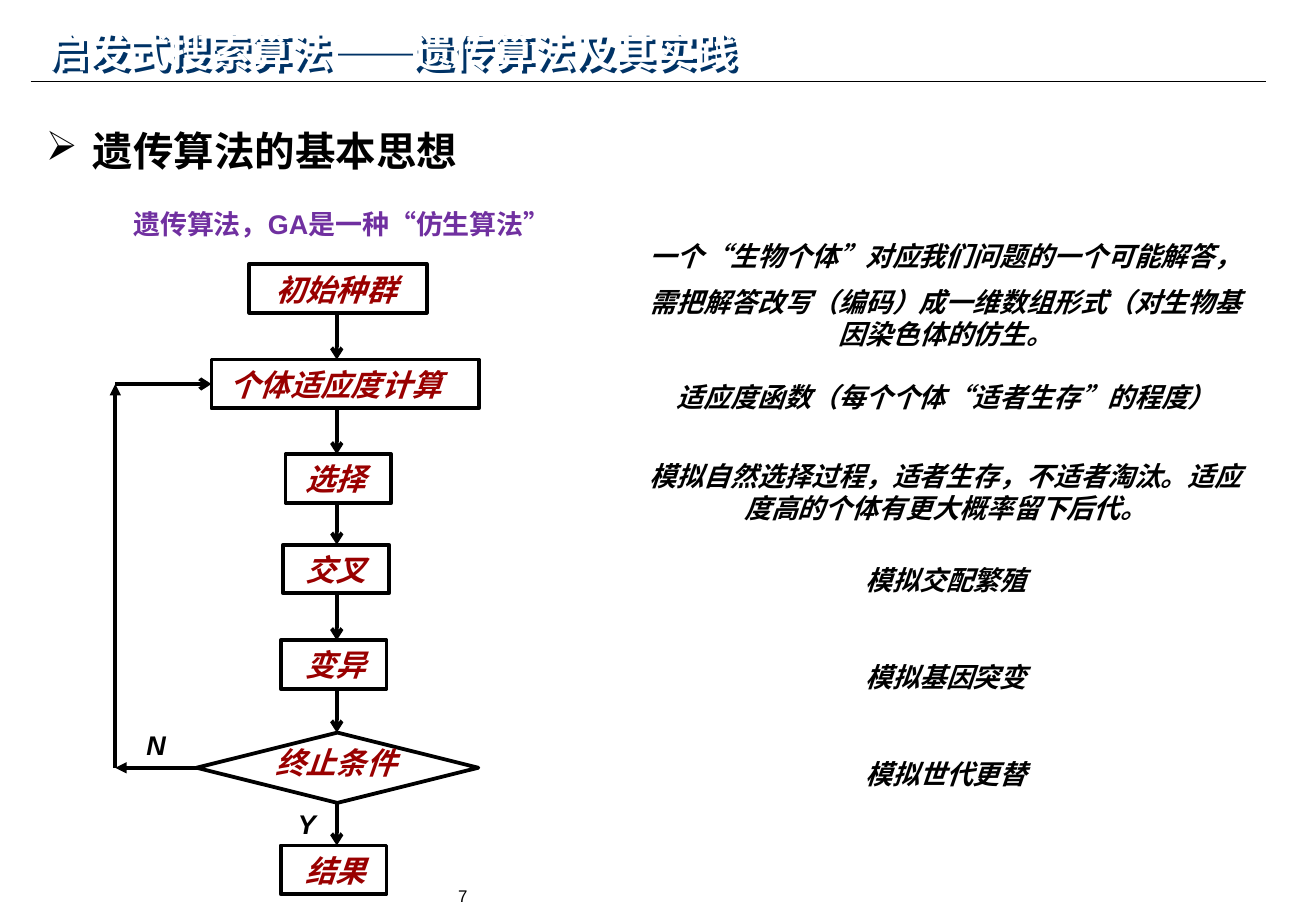
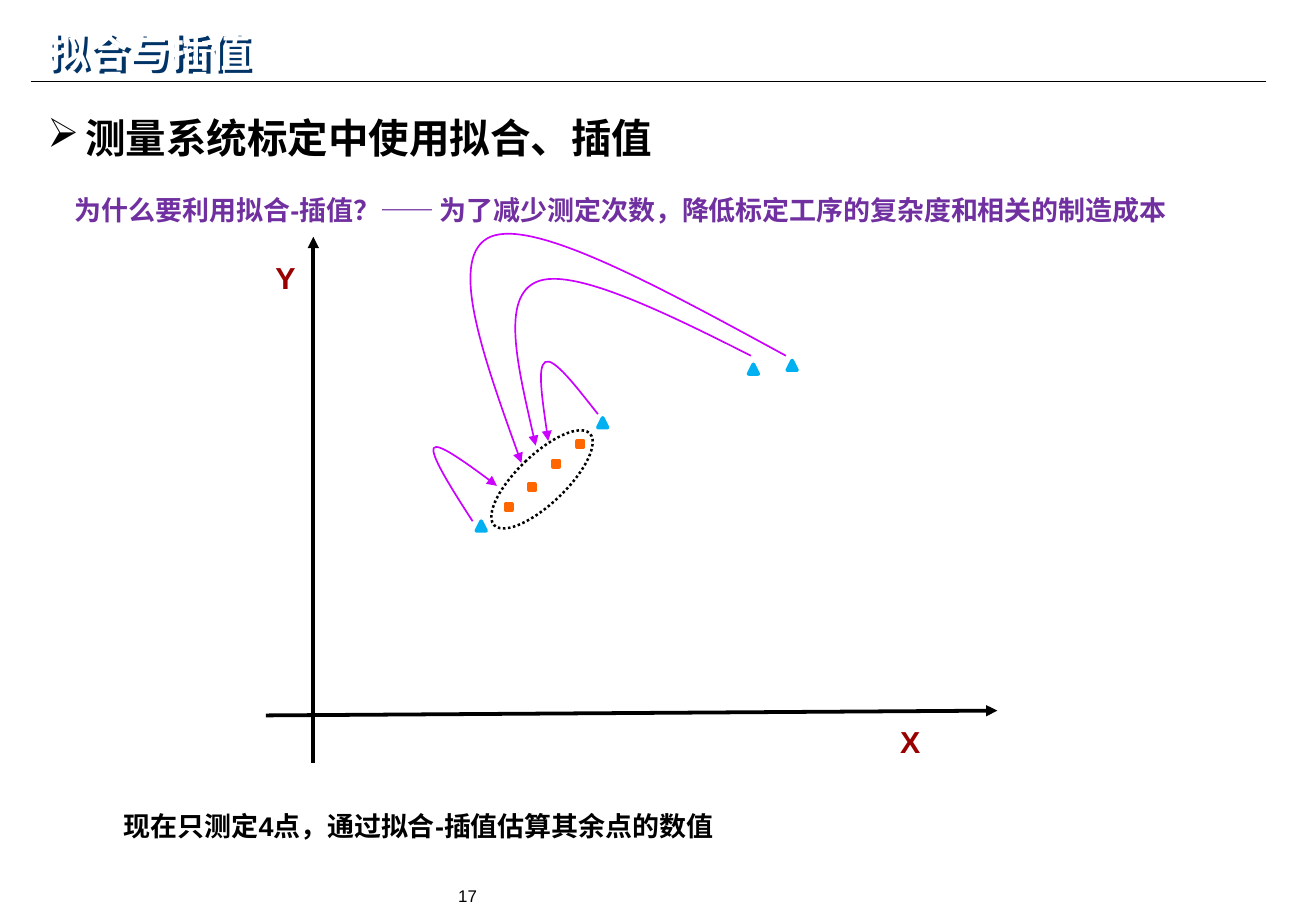
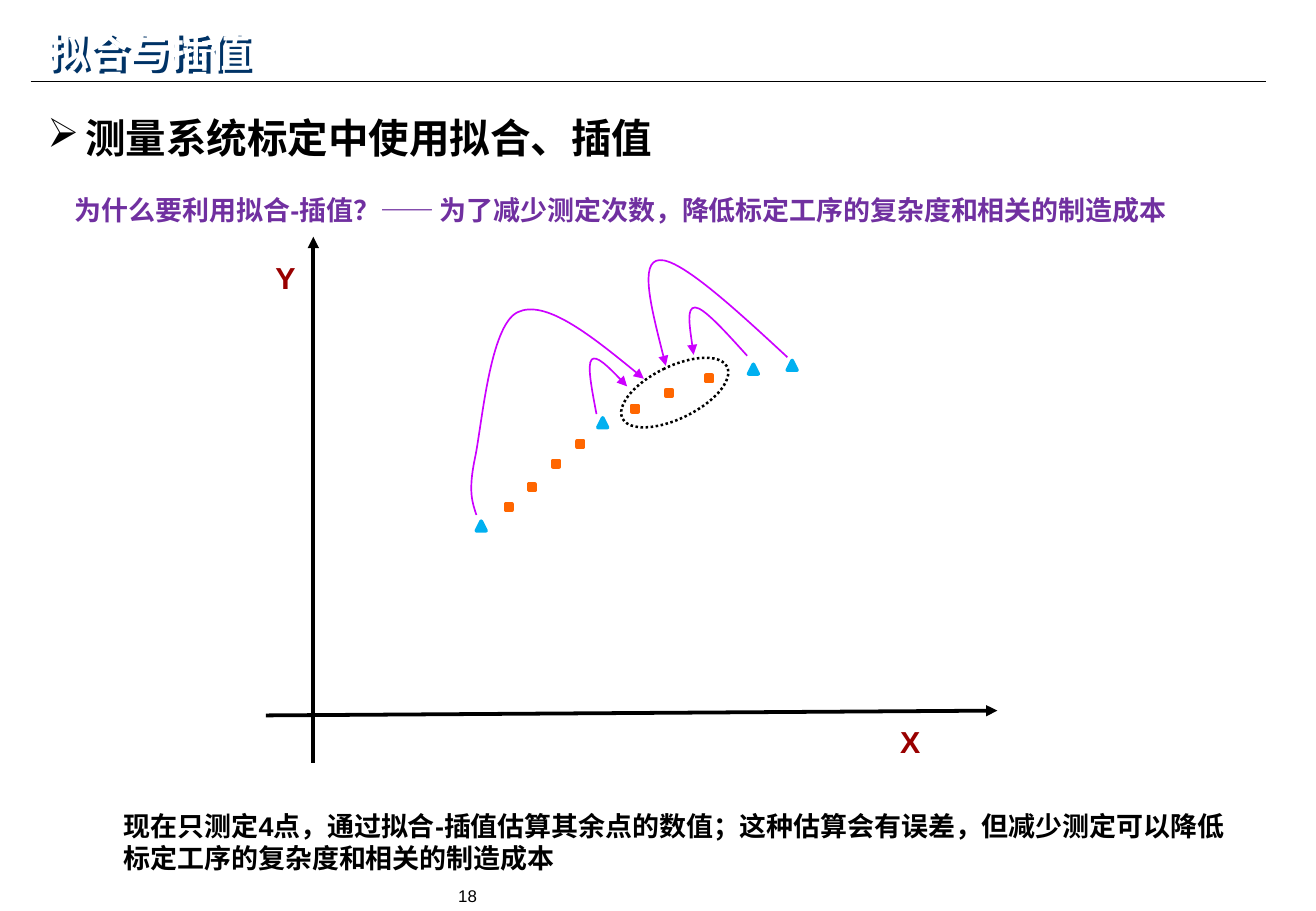
from pptx import Presentation, util as u
from pptx.dml.color import RGBColor
from pptx.enum import dml, shapes, text
from pptx.oxml import parse_xml
from pptx.oxml.ns import nsdecls, qn

# ---- Shared style
BLACK, RED, PURPLE, WHITE, NAVY = "000000", "990000", "7030A0", "FFFFFF", "003366"
BLUE, ORANGE, MAGENTA = "00B0F0", "FF6600", "CC00FF"
FONT = "Arial"
TITLE = dict(size=24, bold=True, color=WHITE)
HEADING = dict(size=24, bold=True)
LEAD = dict(size=16, bold=True, color=PURPLE)
BODY = dict(size=16, bold=True)
NOTE = dict(size=16, bold=True, italic=True, align="CENTER")
STEP = dict(size=18, bold=True, italic=True, color=RED, align="CENTER")
AXIS = dict(size=18, bold=True, color=RED)
PAGE = dict(size=10, inset=(0.18, 0.1))
RECT, DIAMOND = shapes.MSO_SHAPE.RECTANGLE, shapes.MSO_SHAPE.DIAMOND

# ---- Flow chart content: label, label top, outline left, width, top, height, kind
BOX_H = 1.02
STEPS = [
    ("初始种群", 5.54, 5.21, 3.71, 5.52, BOX_H, RECT),
    ("个体适应度计算", 7.52, 4.42, 5.59, 7.52, BOX_H, RECT),
    ("选择", 9.5, 5.97, 2.21, 9.5, BOX_H, RECT),
    ("交叉", 11.4, 5.92, 2.21, 11.39, BOX_H, RECT),
    ("变异", 13.39, 5.87, 2.21, 13.39, BOX_H, RECT),
    ("终止条件", 15.44, 4.11, 5.89, 15.32, 1.47, DIAMOND),
    ("结果", 17.68, 5.87, 2.21, 17.68, BOX_H, RECT),
]
FLOW_X, LOOP_X = 7.04, 2.41
BRANCHES = [("Y", 5.87, 16.76), ("N", 2.72, 15.11)]
NOTES = [
    (4.88, 2.64, ["一个“生物个体”对应我们问题的一个可能解答，",
                  "需把解答改写（编码）成一维数组形式（对生物基因染色体的仿生。"]),
    (7.82, 0.94, ["适应度函数（每个个体“适者生存”的程度）"]),
    (9.47, 1.63, ["模拟自然选择过程，适者生存，不适者淘汰。适应度高的个体有更大概率留下后代。"]),
    (11.66, 0.94, ["模拟交配繁殖"]),
    (13.69, 0.94, ["模拟基因突变"]),
    (15.72, 0.94, ["模拟世代更替"]),
]

# ---- Plot content: measured and estimated points, then what each slide adds
MEASURED = [(9.96, 10.9), (12.5, 8.74), (15.65, 7.62), (16.46, 7.54)]
LOWER = [(10.57, 10.54), (11.05, 10.13), (11.56, 9.63), (12.07, 9.22)]
UPPER = [(13.21, 8.48), (13.92, 8.15), (14.76, 7.85)]
CONCLUSION = "现在只测定4点，通过拟合-插值估算其余点的数值"
PLOTS = [
    dict(page=17, estimated=LOWER, ring=(10.82, 8.64, 1.02, 2.77), turn=46.2,
         caption=CONCLUSION, caption_box=(2.34, 16.79, 14.33, 0.94),
         curves=[
             [(12.5, 8.66), (12.04, 8.08), (11.58, 7.47), (11.4, 7.57),
              (11.23, 7.67), (11.35, 8.43), (11.46, 9.22)],
             [(15.7, 7.44), (13.84, 6.5), (11.96, 5.59), (11.23, 5.89),
              (10.46, 6.2), (10.85, 7.77), (11.2, 9.32)],
             [(16.43, 7.44), (13.82, 6.02), (11.18, 4.57), (10.26, 4.95),
              (9.35, 5.33), (10.11, 7.49), (10.9, 9.68)],
             [(9.88, 10.9), (9.42, 10.19), (8.99, 9.5), (9.07, 9.37),
              (9.14, 9.25), (9.78, 9.7), (10.39, 10.16)]]),
    dict(page=18, estimated=LOWER + UPPER, ring=(13.56, 6.99, 1.09, 2.44), turn=63.8,
         caption=CONCLUSION + "；这种估算会有误差，但减少测定可以降低标定工序的复杂度和相关的制造成本",
         caption_box=(2.34, 16.79, 23.62, 1.63),
         curves=[
             [(12.47, 8.66), (12.37, 8.13), (12.27, 7.62), (12.37, 7.52),
              (12.47, 7.42), (12.8, 7.75), (13.11, 8.08)],
             [(9.96, 10.77), (9.88, 10.52), (9.78, 10.29), (9.93, 9.58),
              (10.08, 8.86), (10.24, 6.81), (10.82, 6.53),
              (11.4, 6.25), (12.45, 7.09), (13.46, 7.92)],
             [(15.62, 7.44), (15.16, 6.93), (14.71, 6.43), (14.53, 6.43),
              (14.35, 6.43), (14.43, 6.91), (14.5, 7.42)],
             [(16.46, 7.47), (15.34, 6.43), (14.22, 5.41), (13.79, 5.44),
              (13.36, 5.46), (13.64, 6.55), (13.92, 7.65)]]),
]


# ---- Helpers
def rgb(value):
    return RGBColor.from_string(value)


def cm(*values):
    return [u.Cm(v) for v in values]


def xml(markup):
    """Build one DrawingML element from its tag and content."""
    tag, _, rest = markup.partition(" ")
    return parse_xml(f"<a:{tag} {nsdecls('a')} {rest}")


def add_text(s, box, lines, size, color=BLACK, align="LEFT", anchor="TOP",
             inset=(0.25, 0.13), bullet=None, **font):
    tb = s.shapes.add_textbox(*cm(*box))
    tf = tb.text_frame
    side, edge = cm(*inset)
    frame = dict(word_wrap=True, vertical_anchor=text.MSO_ANCHOR[anchor],
                 margin_left=side, margin_right=side, margin_top=edge, margin_bottom=edge)
    for name, value in frame.items():
        setattr(tf, name, value)
    for i, line in enumerate(lines):
        p = tf.add_paragraph() if i else tf.paragraphs[0]
        p.alignment = text.PP_ALIGN[align]
        if i:
            p.space_before = u.Pt(size / 2)
        if bullet:
            pPr = p._p.get_or_add_pPr()
            pPr.set("marL", str(u.Cm(0.79)))
            pPr.set("indent", str(-u.Cm(0.79)))
            pPr.append(xml(f'buChar char="{bullet}"/>'))
        r = p.add_run()
        r.text = line
        for name, value in dict(font, name=FONT, size=u.Pt(size)).items():
            setattr(r.font, name, value)
        r.font.color.rgb = rgb(color)
    return tb


def set_line(sp, color, width, head=None):
    sp.line.color.rgb = rgb(color)
    sp.line.width = u.Pt(width)
    if head:
        sp._element.spPr.find(qn("a:ln")).append(xml(f'tailEnd type="{head}"/>'))


def add_line(s, start, end, width=2.25, head=None):
    cn = s.shapes.add_connector(shapes.MSO_CONNECTOR.STRAIGHT, *cm(*start, *end))
    set_line(cn, BLACK, width, head)
    cn._element.spPr.append(xml("effectLst />"))


def add_shape(s, kind, box, line=BLACK, fill=None, width=2.25):
    sp = s.shapes.add_shape(kind, *cm(*box))
    sp.shadow.inherit = False
    if fill:
        sp.fill.solid()
        sp.fill.fore_color.rgb = rgb(fill)
    else:
        sp.fill.background()
    set_line(sp, line, width)
    return sp


def add_curve(s, points):
    """Draw a start point followed by Bezier triples, with an arrowhead."""
    first, *rest = [cm(*pt) for pt in points]
    fb = s.shapes.build_freeform(*first)
    fb.add_line_segments(rest, close=False)
    sp = fb.convert_to_shape()
    path = sp._element.spPr.find(".//" + qn("a:path"))
    segments = path.findall(qn("a:lnTo"))
    for i in range(0, len(segments), 3):
        bezier = xml("cubicBezTo />")
        for seg in segments[i:i + 3]:
            bezier.append(seg[0])
            path.remove(seg)
        path.append(bezier)
    sp.shadow.inherit = False
    sp.fill.background()
    set_line(sp, MAGENTA, 1, "triangle")


def add_slide(prs, title, page, heading, heading_box):
    s = prs.slides.add_slide(prs.slide_layouts[6])
    add_line(s, (0.64, 1.7), (26.47, 1.7), width=0.75)
    add_text(s, (9.4, 18.42, 8.71, 0.64), [str(page)], **PAGE)
    tb = add_text(s, (0.76, 0.43, 23.39, 1.27), [title], anchor="MIDDLE", **TITLE)
    tb._element.spPr.append(xml(
        'effectLst ><a:outerShdw dist="35921" dir="2700000" algn="ctr" rotWithShape="0">'
        f'<a:srgbClr val="{NAVY}"/></a:outerShdw></a:effectLst>'))
    add_text(s, heading_box, [heading], bullet="➢", **HEADING)
    return s


# ---- Slides
def flow_slide(prs):
    s = add_slide(prs, "启发式搜索算法——遗传算法及其实践", 7,
                  " 遗传算法的基本思想", (0.71, 2.51, 25.15, 1.27))
    add_text(s, (2.41, 4.22, 16.71, 0.94), [" 遗传算法，GA是一种“仿生算法”"], **LEAD)

    # Steps, and the arrow from each to the next
    for label, label_top, left, width, top, height, kind in STEPS:
        add_shape(s, kind, (left, top, width, height))
        add_text(s, (3.3, label_top, 7.44, BOX_H), [label], **STEP)
    for a, b in zip(STEPS, STEPS[1:]):
        add_line(s, (FLOW_X, a[4] + a[5]), (FLOW_X, b[4]), head="arrow")

    # Loop back from the test to the fitness step
    fitness, test = STEPS[1], STEPS[5]
    fitness_y, test_y = (st[4] + st[5] / 2 for st in (fitness, test))
    corners = [(test[2], test_y), (LOOP_X, test_y), (LOOP_X, fitness_y), (fitness[2], fitness_y)]
    for start, end, head in zip(corners, corners[1:], ("triangle", "triangle", "arrow")):
        add_line(s, start, end, head=head)
    for label, left, top in BRANCHES:
        add_text(s, (left, top, 1.09, 0.94), [label], **NOTE)

    # Explanations
    for top, height, lines in NOTES:
        add_text(s, (13.28, top, 13, height), lines, **NOTE)


def plot_slide(prs, plot):
    s = add_slide(prs, "拟合与插值", plot["page"],
                  "测量系统标定中使用拟合、插值", (0.74, 2.24, 22.02, 1.27))
    add_text(s, (1.19, 3.91, 25.15, 0.94),
             [" 为什么要利用拟合-插值？—— 为了减少测定次数，降低标定工序的复杂度和相关的制造成本"], **LEAD)

    # Axes
    add_line(s, (6.55, 15.95), (6.55, 4.95), head="triangle")
    add_line(s, (5.56, 14.96), (20.85, 14.86), head="triangle")
    for label, left, top in [("X", 18.57, 14.99), ("Y", 5.51, 5.28)]:
        add_text(s, (left, top, 0.84, 1.02), [label], **AXIS)

    # Points
    for kind, size, color, points in [
            (shapes.MSO_SHAPE.FLOWCHART_EXTRACT, 0.2, BLUE, MEASURED),
            (RECT, 0.13, ORANGE, plot["estimated"])]:
        for left, top in points:
            add_shape(s, kind, (left, top, size, size), line=color, fill=color)

    # Ring around the estimated points, and the curves that lead to it
    ring = add_shape(s, shapes.MSO_SHAPE.OVAL, plot["ring"], width=1.5)
    ring.rotation = plot["turn"]
    ring.line.dash_style = dml.MSO_LINE.ROUND_DOT
    for points in plot["curves"]:
        add_curve(s, points)
    add_text(s, plot["caption_box"], [plot["caption"]], **BODY)


def main():
    prs = Presentation()
    prs.slide_width, prs.slide_height = cm(27.51, 19.05)
    flow_slide(prs)
    for plot in PLOTS:
        plot_slide(prs, plot)
    prs.save("out.pptx")


if __name__ == "__main__":
    main()
